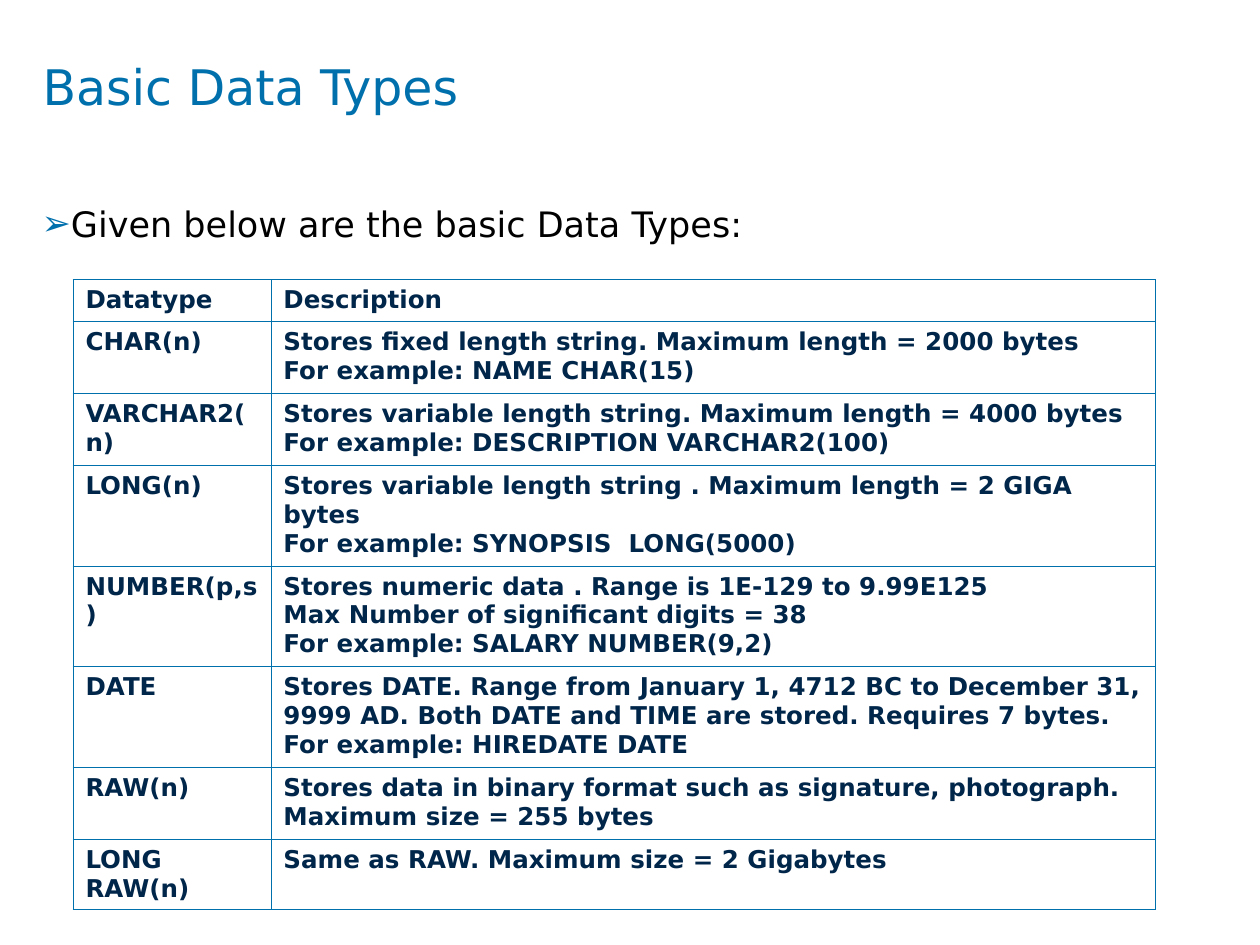
"""Build the "Basic Data Types" slide with a table of column types."""
from lxml.etree import SubElement
from pptx import Presentation
from pptx.dml.color import RGBColor
from pptx.enum.text import MSO_ANCHOR, MSO_AUTO_SIZE, PP_ALIGN
from pptx.oxml.ns import qn
from pptx.util import Cm, Pt

COLORS = {"blue": "0070AD", "navy": "00264A", "black": "000000"}
FONT = "DejaVu Sans"
ROWS = [
    (0.84, "Datatype", ["Description"]),
    (1.45, "CHAR(n)", ["Stores fixed length string. Maximum length = 2000 bytes",
                       "For example: NAME CHAR(15)"]),
    (1.45, "VARCHAR2(n)", ["Stores variable length string. Maximum length = 4000 bytes",
                           "For example: DESCRIPTION VARCHAR2(100)"]),
    (2.03, "LONG(n)", ["Stores variable length string . Maximum length = 2 GIGA bytes",
                       "For example: SYNOPSIS  LONG(5000)"]),
    (2.03, "NUMBER(p,s)", ["Stores numeric data . Range is 1E-129 to 9.99E125",
                           "Max Number of significant digits = 38",
                           "For example: SALARY NUMBER(9,2)"]),
    (2.03, "DATE", ["Stores DATE. Range from January 1, 4712 BC to December 31, 9999 AD. "
                    "Both DATE and TIME are stored. Requires 7 bytes.",
                    "For example: HIREDATE DATE"]),
    (1.45, "RAW(n)", ["Stores data in binary format such as signature, photograph.",
                      "Maximum size = 255 bytes"]),
    (1.42, "LONG RAW(n)", ["Same as RAW. Maximum size = 2 Gigabytes"]),
]


def add_run(p, text, size, color, bold=False):
    r = p.add_run()
    r.text = text
    r.font.name = FONT
    r.font.size = Pt(size)
    r.font.bold = bold
    r.font.color.rgb = RGBColor.from_string(COLORS[color])


def place(sp, left, top, width, height):
    sp.left, sp.top, sp.width, sp.height = Cm(left), Cm(top), Cm(width), Cm(height)
    tf = sp.text_frame
    tf.margin_left = tf.margin_top = tf.margin_right = tf.margin_bottom = 0
    tf.vertical_anchor = MSO_ANCHOR.TOP
    tf.auto_size = MSO_AUTO_SIZE.NONE
    tf.word_wrap = True
    return tf.paragraphs[0]


prs = Presentation()
prs.slide_width, prs.slide_height = Cm(25.4), Cm(19.05)
s = prs.slides.add_slide(prs.slide_layouts[1])

p = place(s.shapes.title, 0.86, 1.14, 23.7, 2.39)
p.alignment = PP_ALIGN.LEFT
add_run(p, "Basic Data Types", 28, "blue")

p = place(s.placeholders[1], 0.84, 4.17, 23.72, 12.9)
pPr = p._p.get_or_add_pPr()
pPr.set("marL", str(Cm(0.58)))
pPr.set("indent", str(-Cm(0.58)))
SubElement(SubElement(pPr, qn("a:buClr")), qn("a:srgbClr"), val=COLORS["blue"])
SubElement(pPr, qn("a:buFont"), typeface=FONT)
SubElement(pPr, qn("a:buChar"), char="➢")
p.alignment = PP_ALIGN.JUSTIFY
p.line_spacing = 0.9
p.space_before = Pt(0)
add_run(p, "Given below are the basic Data Types:", 20, "black")

height = sum(row[0] for row in ROWS)
table = s.shapes.add_table(len(ROWS), 2, Cm(1.47), Cm(5.64), Cm(21.82), Cm(height)).table
table.first_row = table.horz_banding = False
table.columns[0].width, table.columns[1].width = Cm(3.99), Cm(17.83)

for i, (row_height, datatype, description) in enumerate(ROWS):
    table.rows[i].height = Cm(row_height)
    for j, lines in enumerate(([datatype], description)):
        cell = table.cell(i, j)
        tcPr = cell._tc.get_or_add_tcPr()
        for side in ("lnL", "lnR", "lnT", "lnB"):
            ln = SubElement(tcPr, qn(f"a:{side}"), w=str(Pt(0.45)))
            fill = SubElement(ln, qn("a:solidFill"))
            SubElement(fill, qn("a:srgbClr"), val=COLORS["blue"])
        cell.fill.background()
        p = cell.text_frame.paragraphs[0]
        for n, line in enumerate(lines):
            if n:
                p.add_line_break()
            add_run(p, line, 14, "navy", bold=True)

prs.save("out.pptx")
